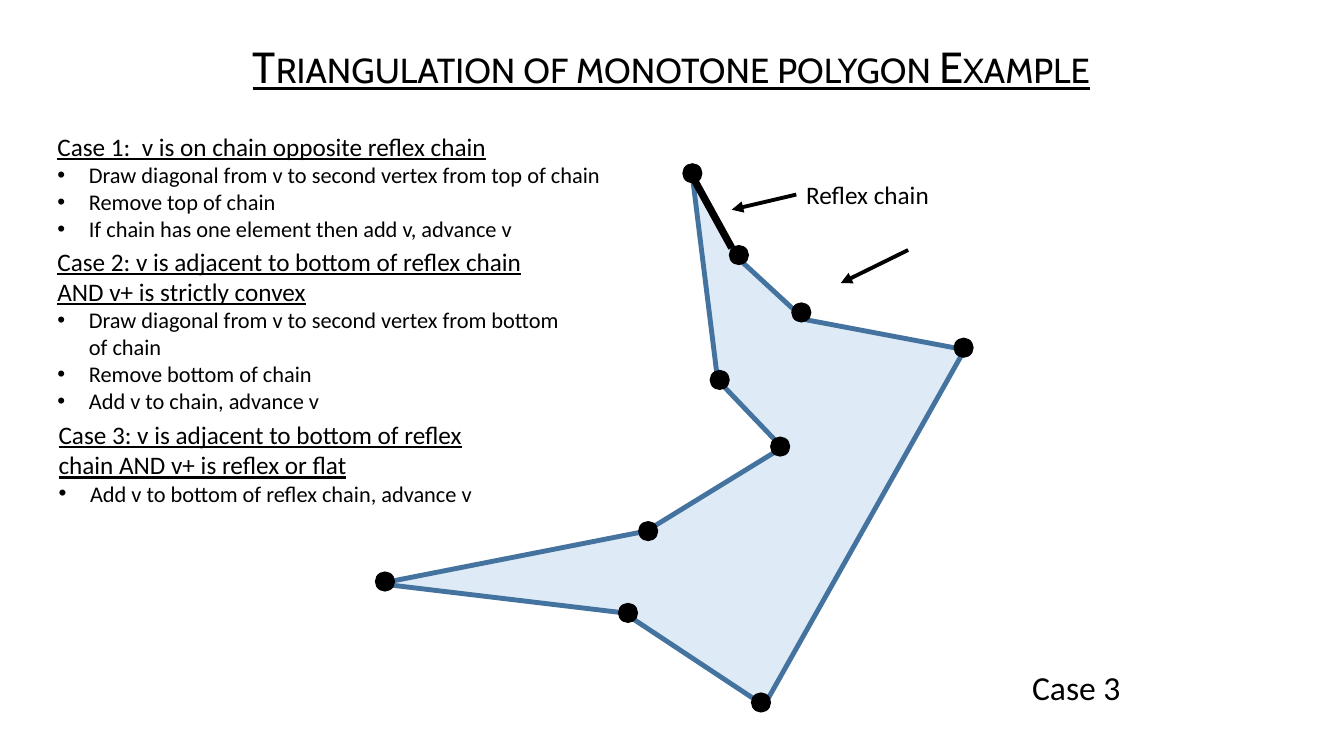
from lxml import etree
from pptx import Presentation
from pptx.dml.color import RGBColor
from pptx.enum.shapes import MSO_CONNECTOR, MSO_SHAPE
from pptx.enum.text import MSO_ANCHOR, MSO_AUTO_SIZE, PP_ALIGN
from pptx.oxml.ns import qn
from pptx.util import Pt

COLORS = {"ink": "000000", "fill": "DEEBF7", "edge": "43739E"}
DOT = 14.4
INDENT = 22.5

# Polygon corner, then centre of its vertex dot
VERTICES = [
    ((494.6, 126), (494.6, 123.8)),
    ((512.6, 271.4), (514.1, 271.4)),
    ((558.7, 319.7), (557.3, 319)),
    ((461.5, 379.4), (463, 379.4)),
    ((270.7, 416.9), (275, 415.4)),
    ((445.7, 437.8), (448.6, 437.8)),
    ((545.8, 504), (543.6, 501.8)),
    ((689, 249.8), (688.3, 248.4)),
    ((574.6, 228.2), (572.4, 223.2)),
    ((527.8, 185), (527.8, 182.2)),
]

# Placeholder index, box, heading, bullets
CASES = [
    (1, (33.8, 90, 420, 87.1), "Case 1:  v is on chain opposite reflex chain",
     ["Draw diagonal from v to second vertex from top of chain",
      "Remove top of chain",
      "If chain has one element then add v, advance v"]),
    (2, (33.8, 172.1, 373.7, 128.2),
     "Case 2: v is adjacent to bottom of reflex chain AND v+ is strictly convex",
     ["Draw diagonal from v to second vertex from bottom of chain",
      "Remove bottom of chain",
      "Add v to chain, advance v"]),
    (4, (34.6, 295.9, 324.7, 70.6),
     "Case 3: v is adjacent to bottom of reflex chain AND v+ is reflex or flat",
     ["Add v to bottom of reflex chain, advance v"]),
]


def rgb(name):
    return RGBColor.from_string(COLORS[name])


def place(sp, left, top, width, height):
    sp.left, sp.top, sp.width, sp.height = map(Pt, (left, top, width, height))


def write(p, text, size=18, font="Calibri", underline=False, small_caps=False):
    r = p.add_run()
    r.text = text
    r.font.size, r.font.name = Pt(size), font
    r.font.bold, r.font.underline = False, underline
    r.font.color.rgb = rgb("ink")
    if small_caps:
        r.font._element.set("cap", "small")


def set_bullet(p, bulleted):
    pPr = p._p.get_or_add_pPr()
    indent = Pt(INDENT) if bulleted else 0
    pPr.set("marL", str(indent))
    pPr.set("indent", str(-indent))
    if bulleted:
        etree.SubElement(pPr, qn("a:buFont")).set("typeface", "Arial")
        etree.SubElement(pPr, qn("a:buChar")).set("char", "•")
    else:
        etree.SubElement(pPr, qn("a:buNone"))


def add_title(slide, text):
    sp = slide.shapes.title
    place(sp, 125.3, 20.9, 708.5, 61.2)
    tf = sp.text_frame
    tf.auto_size = MSO_AUTO_SIZE.NONE
    tf.vertical_anchor = MSO_ANCHOR.MIDDLE
    p = tf.paragraphs[0]
    p.alignment, p.line_spacing = PP_ALIGN.CENTER, 0.7
    write(p, text, size=31, font="Cabin", underline=True, small_caps=True)


def add_case(slide, idx, box, heading, bullets):
    sp = slide.placeholders[idx]
    place(sp, *box)
    tf = sp.text_frame
    tf.word_wrap, tf.auto_size = True, MSO_AUTO_SIZE.NONE
    tf.vertical_anchor = MSO_ANCHOR.TOP
    for i, text in enumerate([heading, *bullets]):
        p = tf.add_paragraph() if i else tf.paragraphs[0]
        set_bullet(p, i > 0)
        p.space_before = Pt(0)
        write(p, text, size=16 if i else 18, underline=i == 0)


def add_label(slide, text, box, size):
    tf = slide.shapes.add_textbox(*map(Pt, box)).text_frame
    tf.word_wrap = False
    write(tf.paragraphs[0], text, size=size)


def add_polygon(slide, corners):
    points = [(Pt(x), Pt(y)) for x, y in corners]
    builder = slide.shapes.build_freeform(*points[0])
    builder.add_line_segments(points[1:], close=True)
    sp = builder.convert_to_shape()
    sp.shadow.inherit = False
    sp.fill.solid()
    sp.fill.fore_color.rgb = rgb("fill")
    sp.line.color.rgb = rgb("edge")
    sp.line.width = Pt(3.5)


def add_dot(slide, x, y):
    sp = slide.shapes.add_shape(
        MSO_SHAPE.OVAL, Pt(x - DOT / 2), Pt(y - DOT / 2), Pt(DOT), Pt(DOT))
    sp.shadow.inherit = False
    sp.fill.solid()
    sp.fill.fore_color.rgb = rgb("ink")
    sp.line.fill.background()


def add_line(slide, start, end, width, arrow=False):
    line = slide.shapes.add_connector(
        MSO_CONNECTOR.STRAIGHT, *map(Pt, (*start, *end)))
    line.line.color.rgb = rgb("ink")
    line.line.width = Pt(width)
    if arrow:
        ln = line.line._get_or_add_ln()
        etree.SubElement(ln, qn("a:tailEnd")).set("type", "triangle")
    etree.SubElement(line._element.spPr, qn("a:effectLst"))


def main():
    prs = Presentation()
    prs.slide_width, prs.slide_height = Pt(960), Pt(540)
    slide = prs.slides.add_slide(prs.slide_layouts.get_by_name("Comparison"))

    add_title(slide, "Triangulation of monotone polygon Example")
    for case in CASES:
        add_case(slide, *case)
    unused = slide.placeholders[3]._element
    unused.getparent().remove(unused)

    add_polygon(slide, [corner for corner, _ in VERTICES])
    for _, center in VERTICES:
        add_dot(slide, *center)

    add_line(slide, (494.6, 126), (522.7, 177.1), 5.25)
    add_line(slide, (648.7, 178.6), (600.5, 202.3), 2.75, arrow=True)
    add_line(slide, (568.8, 139), (522.7, 149.8), 2.75, arrow=True)
    add_label(slide, "Reflex chain", (568.8, 124.6, 103, 28.8), 18)
    add_label(slide, "Case 3", (730.1, 473, 78.5, 36), 24)

    prs.save("out.pptx")


if __name__ == "__main__":
    main()
